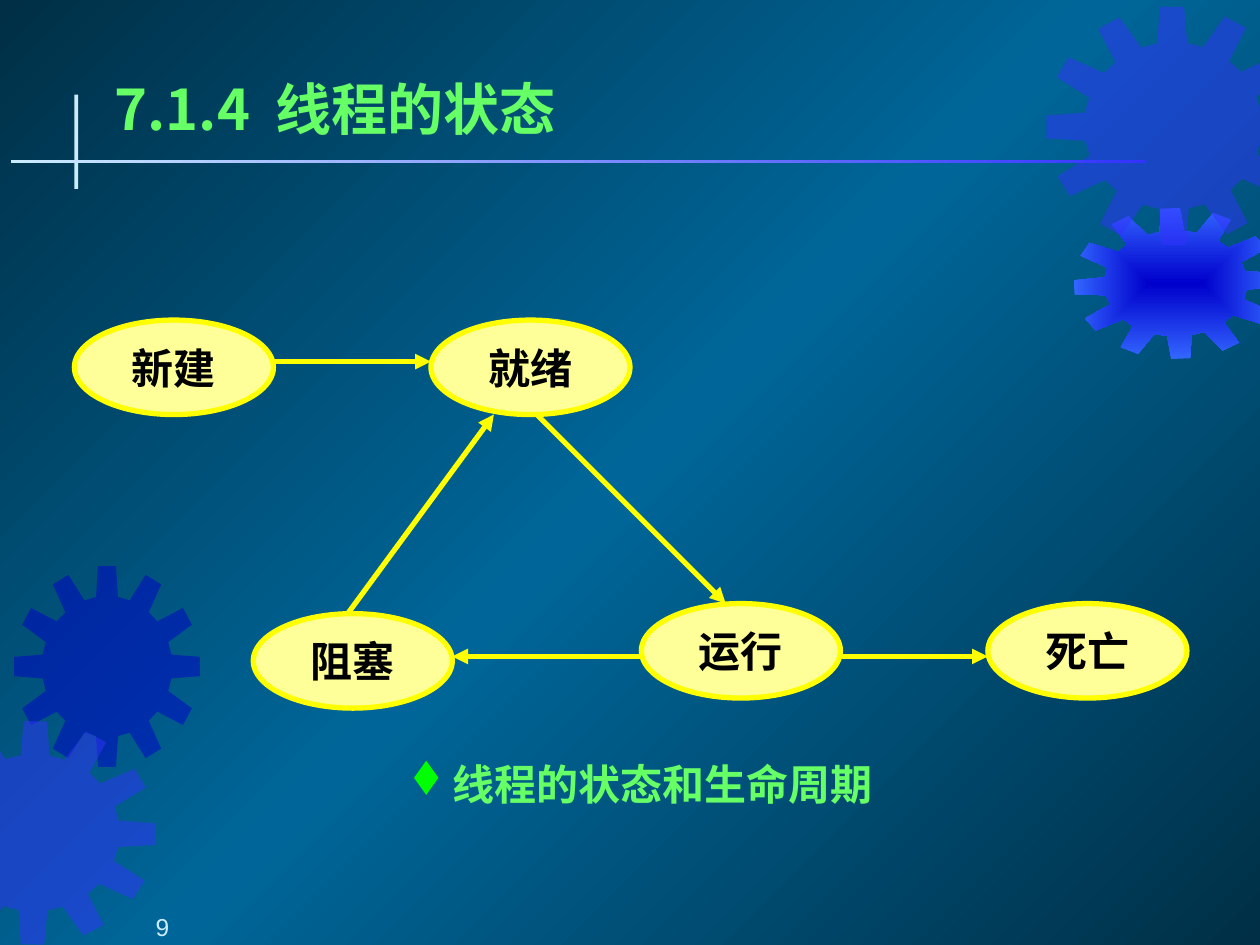
from itertools import pairwise
from math import cos, radians, sin

from lxml import etree
from pptx import Presentation
from pptx.dml.color import RGBColor
from pptx.enum import shapes, text
from pptx.oxml import ns
from pptx.util import Inches, Pt

WIDE, HIGH = 10, 7.5
HUES = {
    "edge": "002F46", "mid": "006699", "navy": "0000CC", "blue": "3333FF",
    "sky": "3366FF", "pale": "CCECFF", "title": "66FF66", "mark": "00FF00",
    "oval": "FFFF99", "line": "FFFF00", "ink": "000000",
}
HAN = "Noto Sans CJK SC"

# centre x, centre y, radius x, radius y, turn in degrees, fill
GEARS = [
    (0.85, 5.29, 0.74, 0.8, 0, "navy"),
    (0.27, 6.61, 0.97, 0.89, 0.7, "blue"),
    (9.33, 2.25, 0.81, 0.6, -3, None),
    (9.31, 1, 1.01, 0.95, -0.5, "blue"),
]
CLIPPED = {1: (0, 1), 3: (WIDE, -1)}  # gear index: edge x, side that stays
TEETH, ROOT = 12, 0.7
TOOTH = [(-9.7, ROOT), (-5.5, 1), (5.5, 1), (9.7, ROOT)]  # degrees, radius

OVAL = (1.58, 0.75)
STATES = {
    "新建": (0.59, 2.54), "死亡": (7.84, 4.79), "运行": (5.09, 4.79),
    "就绪": (3.42, 2.54), "阻塞": (2.01, 4.87),
}
MOVES = [
    ((2.17, 2.87), (3.42, 2.87)),
    ((2.76, 4.87), (3.92, 3.29)),
    ((4.26, 3.29), (5.76, 4.79)),
    ((5.09, 5.21), (3.59, 5.21)),
    ((6.67, 5.21), (7.84, 5.21)),
]


def rgb(name):
    return RGBColor.from_string(HUES[name])


def add(node, tag, **attrs):
    return etree.SubElement(node, ns.qn(tag), attrs)


def blend(props, stops, angle=None):
    """Swap a solid fill for a gradient: linear at an angle, or from the centre."""
    solid = props.find(ns.qn("a:solidFill"))
    grad = etree.Element(ns.qn("a:gradFill"), rotWithShape="1")
    props.replace(solid, grad)
    row = add(grad, "a:gsLst")
    for pos, name in stops:
        stop = add(row, "a:gs", pos=str(pos * 1000))
        add(stop, "a:srgbClr", val=HUES[name])
    if angle is None:
        way = add(grad, "a:path", path="rect")
        add(way, "a:fillToRect", l="50000", t="50000", r="50000", b="50000")
    else:
        add(grad, "a:lin", ang=str(angle * 60000), scaled="0")


def paint(shape, fill, line=None):
    shape.shadow.inherit = False
    shape.fill.solid()
    shape.fill.fore_color.rgb = rgb(fill)
    if line:
        shape.line.color.rgb = rgb(line)
        shape.line.width = Pt(3)
    else:
        shape.line.fill.background()


def write(shape, words, size, hue, font, bold=True, align="LEFT", anchor="TOP",
          pad=(0.04, 0.04), wrap=False, left=0, hang=0):
    frame = shape.text_frame
    frame.word_wrap = wrap
    frame.vertical_anchor = text.MSO_ANCHOR[anchor]
    frame.margin_left = frame.margin_right = Inches(pad[0])
    frame.margin_top = frame.margin_bottom = Inches(pad[1])
    para = frame.paragraphs[0]
    para.alignment = text.PP_ALIGN[align]
    props = para._p.get_or_add_pPr()
    props.set("marL", str(Inches(left)))
    props.set("indent", str(Inches(-hang)))
    run = para.add_run()
    run.text = words
    run.font.size, run.font.bold, run.font.name = Pt(size), bold, font
    run.font.color.rgb = rgb(hue)
    add(run.font._element, "a:ea", typeface=HAN)
    return para


def clip(points, edge, side):
    """Cut an outline at a vertical edge."""
    kept = []
    for (ax, ay), (bx, by) in pairwise(points + points[:1]):
        a_in, b_in = (ax - edge) * side >= 0, (bx - edge) * side >= 0
        if a_in:
            kept.append((ax, ay))
        if a_in != b_in:
            kept.append((edge, ay + (by - ay) * (edge - ax) / (bx - ax)))
    return kept


def gear(slide, index, cx, cy, rx, ry, turn, fill):
    points = []
    for tooth in range(TEETH):
        for shift, reach in TOOTH:
            turned = radians(tooth * 360 / TEETH + shift + turn)
            points.append((cx + rx * reach * sin(turned), cy - ry * reach * cos(turned)))
    if index in CLIPPED:
        points = clip(points, *CLIPPED[index])
    spots = [(Inches(x), Inches(y)) for x, y in points]
    pen = slide.shapes.build_freeform(*spots[0])
    pen.add_line_segments(spots[1:], close=True)
    shape = pen.convert_to_shape()
    paint(shape, fill or "navy")
    props = shape._element.spPr
    if fill:
        add(props.find(ns.qn("a:solidFill"))[0], "a:alpha", val="50000")
    else:
        blend(props, [(0, "navy"), (100, "sky")])


def block(slide, kind, box, fill, line=None):
    shape = slide.shapes.add_shape(shapes.MSO_SHAPE[kind], *map(Inches, box))
    paint(shape, fill, line)
    return shape


def arrow(slide, start, end):
    line = slide.shapes.add_connector(
        shapes.MSO_CONNECTOR.STRAIGHT, *map(Inches, start + end))
    line.line.color.rgb = rgb("line")
    line.line.width = Pt(3)
    add(line.line._get_or_add_ln(), "a:tailEnd", type="triangle")
    add(line._element.spPr, "a:effectLst")


def label(slide, box, words, **style):
    return write(slide.shapes.add_textbox(*map(Inches, box)), words, **style)


def main():
    deck = Presentation()
    deck.slide_width, deck.slide_height = Inches(WIDE), Inches(HIGH)
    slide = deck.slides.add_slide(deck.slide_layouts[6])
    slide.background.fill.solid()
    blend(slide._element.find(".//" + ns.qn("p:bgPr")),
          [(0, "edge"), (50, "mid"), (100, "edge")], 225)

    for index, wheel in enumerate(GEARS):
        gear(slide, index, *wheel)
    block(slide, "RECTANGLE", (0.59, 0.75, 0.03, 0.75), "pale")
    rule = block(slide, "RECTANGLE", (0.09, 1.27, 9, 0.02), "pale")
    blend(rule._element.spPr, [(0, "blue"), (100, "pale")], 180)
    label(slide, (0.87, 0.54, 8.84, 0.63), "7.1.4  线程的状态", size=32,
          hue="title", font=HAN, anchor="MIDDLE", pad=(0.04, 0.05), wrap=True)

    for name, spot in STATES.items():
        oval = block(slide, "OVAL", spot + OVAL, "oval", "line")
        write(oval, name, 24, "ink", "Karla", align="CENTER", anchor="MIDDLE",
              pad=(0.1, 0.05))
    for move in MOVES:
        arrow(slide, *move)

    para = label(slide, (2.18, 5.98, 4.9, 0.48), "线程的状态和生命周期", size=24,
                 hue="title", font="Times New Roman", wrap=True, left=1.29, hang=0.25)
    para.space_before = Pt(6)
    props = para._p.get_or_add_pPr()
    add(add(props, "a:buClr"), "a:srgbClr", val=HUES["mark"])
    add(props, "a:buFont", typeface="Wingdings", pitchFamily="2", charset="2")
    add(props, "a:buChar", char="t")  # a narrow diamond in Wingdings
    label(slide, (0, 7.05, 2.08, 0.42), "9", size=14, hue="pale", font="Arial",
          bold=False, align="CENTER", anchor="BOTTOM", pad=(0.1, 0), wrap=True,
          left=0.5)
    deck.save("out.pptx")


if __name__ == "__main__":
    main()
